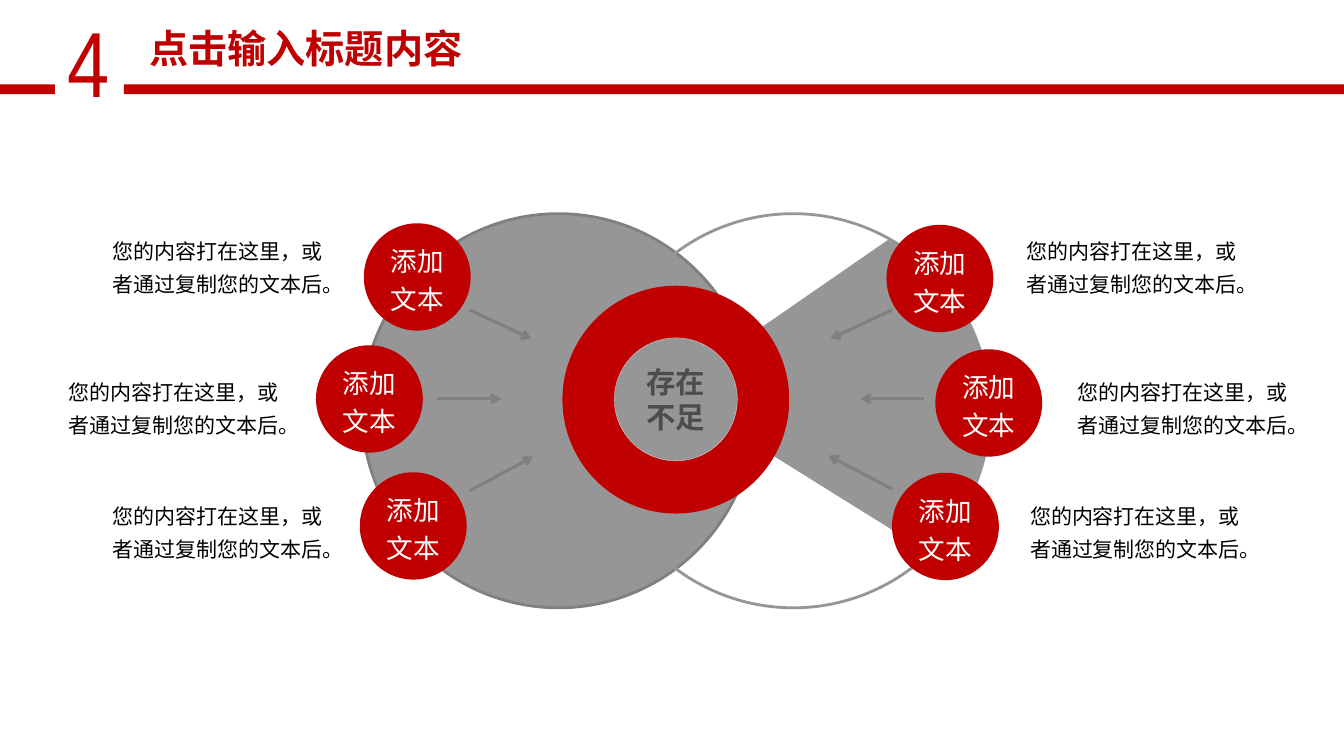
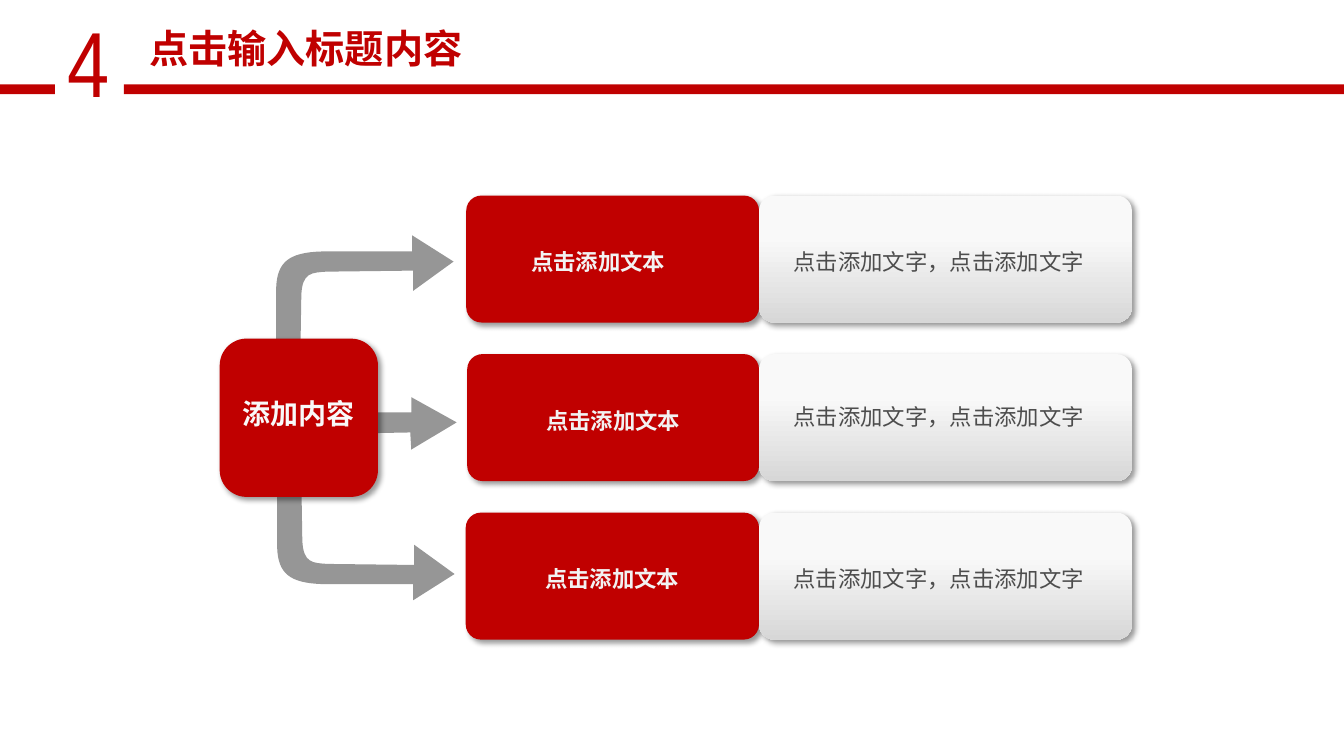
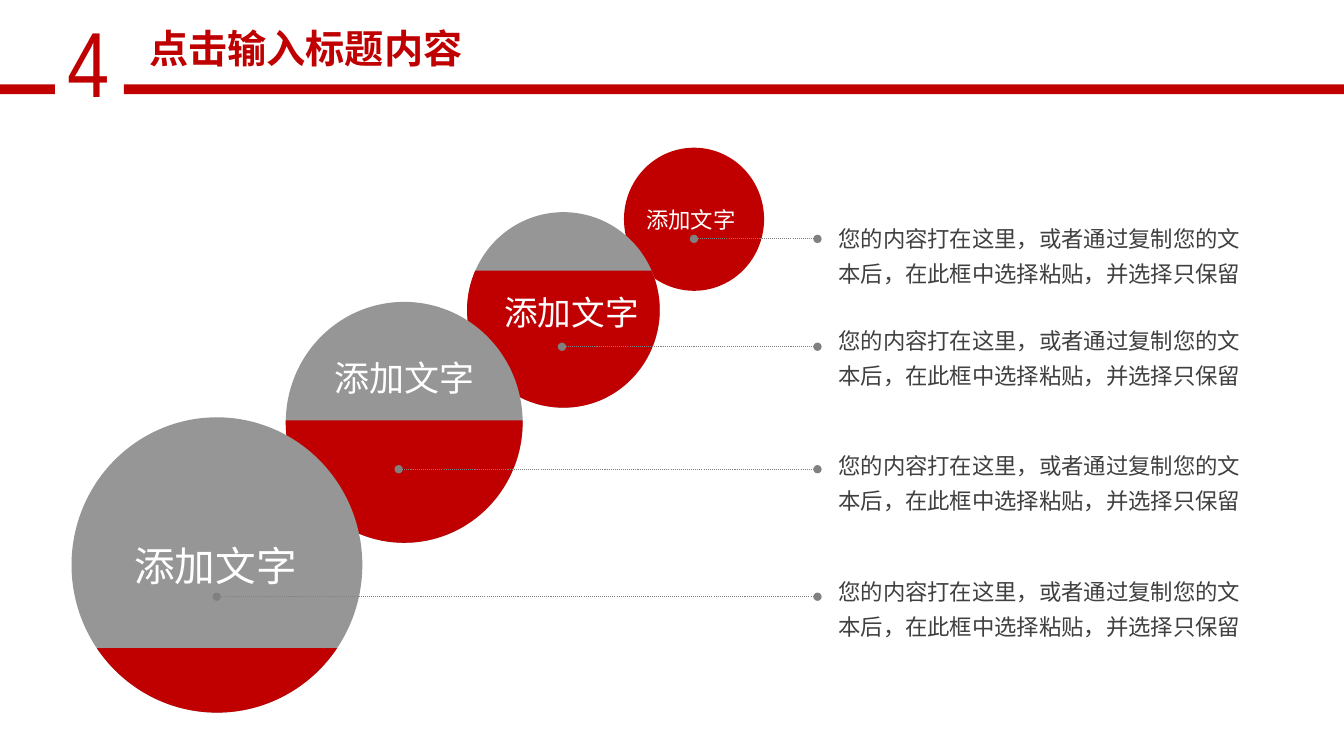
from dataclasses import dataclass
from math import asin, cos, pi, sin, tan

from lxml.etree import SubElement
from pptx import Presentation
from pptx.dml.color import RGBColor
from pptx.enum.dml import MSO_LINE
from pptx.enum.shapes import MSO_CONNECTOR, MSO_SHAPE
from pptx.enum.text import MSO_ANCHOR, MSO_AUTO_SIZE, PP_ALIGN
from pptx.oxml.ns import qn
from pptx.util import Inches, Pt


@dataclass(frozen=True)
class Theme:
    red: str = "C00000"
    gray: str = "969696"
    line: str = "808080"
    rim: str = "D7D7D7"
    pale: str = "F9F9F9"
    soft: str = "F2F2F2"
    dark: str = "4D4D4D"
    note: str = "404040"
    black: str = "000000"
    white: str = "FFFFFF"
    cjk: str = "Noto Sans CJK SC"
    latin: str = "Arial"
    narrow: str = "Arial Narrow"
    number: int = 66
    title: int = 28
    hub: int = 21
    root: int = 20
    disc: int = 19
    body: int = 16
    caption: int = 15


T = Theme()


@dataclass(frozen=True)
class Box:
    x: float
    y: float
    w: float
    h: float
    cols: float
    rows: float

    def pt(self, c, r):
        return (Inches(self.x + c * self.w / self.cols),
                Inches(self.y + r * self.h / self.rows))

    def at(self, c, r, w, h):
        return (*self.pt(c, r), Inches(w * self.w / self.cols),
                Inches(h * self.h / self.rows))


SLIDE = Box(0, 0, 40 / 3, 7.5, 400 / 3, 75)
CYCLE = Box(0.5, 2, 12.4, 4.2, 124, 42)
BRANCH = Box(2.18, 1.94, 9.05, 4.41, 90.5, 44.1)
STEPS = Box(0.7, 1.4, 12, 5.7, 120, 57)


def rgb(color):
    return RGBColor.from_string(color)


def paint(sp, fill=None, line=None, width=1):
    sp.shadow.inherit = False
    if fill:
        sp.fill.solid()
        sp.fill.fore_color.rgb = rgb(fill)
    else:
        sp.fill.background()
    if line:
        sp.line.color.rgb = rgb(line)
        sp.line.width = Pt(width)
    else:
        sp.line.fill.background()
    return sp


def shape(s, kind, place, fill=None, line=None, width=1):
    return paint(s.shapes.add_shape(kind, *place), fill, line, width)


def write(sp, text, size, color, font=T.cjk, bold=False, align=PP_ALIGN.LEFT,
          spacing=1.0, anchor=MSO_ANCHOR.MIDDLE, wrap=True,
          ins=(0.1, 0.05, 0.1, 0.05)):
    tf = sp.text_frame
    tf.auto_size = MSO_AUTO_SIZE.NONE
    tf.word_wrap = wrap
    tf.vertical_anchor = anchor
    tf.margin_left, tf.margin_top, tf.margin_right, tf.margin_bottom = map(Inches, ins)
    p = tf.paragraphs[0]
    p.alignment = align
    p.line_spacing = spacing
    r = p.add_run()
    r.text = text
    r.font.name = font
    r.font.size = Pt(size)
    r.font.bold = bold
    r.font.color.rgb = rgb(color)


def textbox(s, place, text, size, color, **style):
    write(s.shapes.add_textbox(*place), text, size, color, **style)


def bezier(a, b, c, d, n=24):
    for i in range(1, n + 1):
        t, u = i / n, 1 - i / n
        yield tuple(u ** 3 * a[k] + 3 * u * u * t * b[k] + 3 * u * t * t * c[k]
                    + t ** 3 * d[k] for k in (0, 1))


def outline(s, box, start, segments, fill):
    extent = [start]
    for seg in segments:
        extent += bezier(extent[-1], *seg) if len(seg) == 3 else seg
    extent = [box.pt(*p) for p in extent]
    fb = s.shapes.build_freeform(*extent[0], scale=1.0)
    fb.add_line_segments(extent[1:], close=True)
    sp = paint(fb.convert_to_shape(), fill)
    outline_el = sp._element.find(".//" + qn("a:path"))
    for el in list(outline_el):
        outline_el.remove(el)
    for tag, seg in [("a:moveTo", (start,))] + [
            ("a:cubicBezTo" if len(seg) == 3 else "a:lnTo", seg) for seg in segments]:
        step = SubElement(outline_el, qn(tag))
        for p in seg:
            x, y = box.pt(*p)
            SubElement(step, qn("a:pt"), x=str(x - sp.left), y=str(y - sp.top))
    SubElement(outline_el, qn("a:close"))
    return sp


def lines(*points):
    return [(p,) for p in points]


def connect(s, box, start, end, width, ends, dash=None):
    c = s.shapes.add_connector(MSO_CONNECTOR.STRAIGHT, *box.pt(*start), *box.pt(*end))
    c.line.color.rgb = rgb(T.line)
    c.line.width = Pt(width)
    if dash:
        c.line.dash_style = dash
    spPr = c._element.spPr
    for tag, kind in ends:
        SubElement(spPr.find(qn("a:ln")), qn(tag), type=kind)
    SubElement(spPr, qn("a:effectLst"))


def drop_shadow(sp):
    effects = sp._element.spPr.find(qn("a:effectLst"))
    shadow = SubElement(effects, qn("a:outerShdw"), blurRad=str(Pt(4)),
                        dist=str(Pt(3)), dir="2700000", algn="tl", rotWithShape="0")
    color = SubElement(shadow, qn("a:srgbClr"), val=T.black)
    SubElement(color, qn("a:alpha"), val="40000")


def card(s, place, fill, adj):
    sp = shape(s, MSO_SHAPE.ROUNDED_RECTANGLE, place, fill)
    sp.adjustments[0] = adj
    drop_shadow(sp)
    return sp


def shared_band(s, box):
    textbox(s, box.at(5.7, 0, 3.4, 12.1), "4", T.number, T.red,
            font=T.narrow, anchor=MSO_ANCHOR.TOP)
    for c, w in ((12.3, 121.1), (-0.3, 5.75)):
        shape(s, MSO_SHAPE.RECTANGLE, box.at(c, 8.37, w, 0.98), T.red)
    tree = s.slide_layout.shapes._spTree
    for sp in list(s.shapes):
        if not sp.is_placeholder:
            tree.append(sp._element)


def title(s, box, text):
    sp = s.shapes.title
    sp.left, sp.top, sp.width, sp.height = box.at(12.38, 1.85, 35.9, 5.7)
    write(sp, text, T.title, T.red, bold=True, align=PP_ALIGN.CENTER)


def cycle(s, box):
    wedge = [
        [(87.3, 6.7), (88, 7), (83.2, 3.8)], *lines((61.5, 18.8), (87.2, 34.8)),
        [(93.5, 27.2), (92.8, 24.5), (93.1, 20.5)],
        [(92.9, 17.2), (92.2, 13.8), (90.4, 10.9)]]
    sp = outline(s, box, (90.4, 10.9), wedge, T.gray)
    paint(sp, T.gray, T.gray, 0.75)
    for c, fill, line in ((30.9, T.gray, T.line), (54.2, None, T.gray)):
        shape(s, MSO_SHAPE.OVAL, box.at(c, 1.2, 39, 39.1), fill, line, 2)
    spokes = [
        ((31.1, 2.15), (41.6, 10.75), (47.7, 13.6), (5.15, 2.4)),
        ((26.35, 14.25), (38.35, 19.57), (44.7, 19.57), (0.8, 16.45)),
        ((30.7, 26.85), (41.6, 28.7), (47.9, 25.3), (5.15, 28.7)),
        ((82.95, 2.3), (83.5, 10.75), (77.4, 13.6), (95.9, 2.4)),
        ((87.8, 14.65), (86.65, 19.55), (80.4, 19.55), (100.9, 16.45)),
        ((83.5, 26.9), (83.5, 28.5), (77.2, 25.2), (96.2, 28.7)),
    ]
    for disc, start, end, caption in spokes:
        connect(s, box, start, end, 2.25, [("a:tailEnd", "arrow")])
        sp = shape(s, MSO_SHAPE.OVAL, box.at(*disc, 10.6, 10.65), T.red)
        write(sp, "添加文本", T.disc, T.white, font=T.latin,
              align=PP_ALIGN.CENTER, spacing=1.2)
        textbox(s, box.at(*caption, 22.9, 7.6),
                "您的内容打在这里，或者通过复制您的文本后。", T.caption, T.black,
                spacing=1.3, anchor=MSO_ANCHOR.TOP)
    shape(s, MSO_SHAPE.OVAL, box.at(50.8, 8.35, 22.5, 22.6), T.red)
    hub = shape(s, MSO_SHAPE.OVAL, box.at(55.95, 13.52, 12.2, 12.2), T.gray, T.rim, 0.25)
    write(hub, "存在不足", T.hub, T.dark, font=T.narrow, bold=True,
          align=PP_ALIGN.CENTER)


def branch(s, box):
    elbow = [
        *lines((8.1, 12.2)), [(8.2, 14.4), (9.1, 14.4), (10.6, 14.5)],
        *lines((19.2, 14.6), (19.2, 12.6), (23.2, 15.5), (19.1, 18.1), (19.1, 16.5)),
        [(19.1, 16.5), (13.3, 16.5), (10.1, 16.5)],
        [(6.8, 16.4), (5.7, 15.4), (5.6, 12.9)], *lines((5.6, 0))]
    for side, shift in ((1, 0.1), (-1, 0)):
        def flip(p):
            return p[0] + shift, box.rows / 2 + side * p[1]
        outline(s, box, flip((7.9, 0)),
                [[flip(p) for p in seg] for seg in elbow], T.gray)
    outline(s, box, (2.6, 23.8), lines(
        (18.9, 23.5), (19, 25.2), (23.5, 22.5), (19, 20), (19, 21.5), (2.6, 21.6)), T.gray)
    root = card(s, box.at(0, 14.2, 15.7, 15.7), T.red, 0.17)
    write(root, "添加内容", T.root, T.pale, bold=True, align=PP_ALIGN.CENTER,
          spacing=1.2, ins=(0.14, 0.05, 0.14, 0.2))
    rows = ((PP_ALIGN.LEFT, 0.6, 24.45, 0.05), (PP_ALIGN.CENTER, 0.1, 24.55, 0.12),
            (PP_ALIGN.CENTER, 0.1, 24.4, 0.05))
    for i, (align, indent, left, lift) in enumerate(rows):
        row = i * 15.73
        head = card(s, box.at(left, row, 53.5 - left, 12.6), T.red, 0.12)
        write(head, "点击添加文本", T.body, T.soft, bold=True, align=align,
              spacing=1.2, ins=(indent, 0.05, 0.1, 0.05))
        detail = card(s, box.at(53.5, row, 37, 12.6), T.pale, 0.12)
        detail.fill.gradient()
        detail.fill.gradient_angle = 270
        for stop, pos, color in zip(detail.fill.gradient_stops, (0.33, 1), (T.pale, T.rim)):
            stop.position = pos
            stop.color.rgb = rgb(color)
        write(detail, "点击添加文字，点击添加文字", T.body, T.dark,
              spacing=1.2, ins=(0.3, 0.05, 0.1, lift))


def lower_part(s, box, place, cut):
    c, r, w, h = place
    first = asin((cut - r - h / 2) / (h / 2))
    turn = (pi - 2 * first) / 2
    k = 4 / 3 * tan(turn / 4)

    def on(t, pull=0):
        return (c + w / 2 * (1 + cos(t) - pull * sin(t)),
                r + h / 2 * (1 + sin(t) + pull * cos(t)))

    arcs = [[on(t, k), on(t + turn, -k), on(t + turn)] for t in (first, first + turn)]
    outline(s, box, on(pi - first), lines(on(first)) + arcs, T.red)


def steps(s, box):
    balls = [
        ((54.9, 0.65, 13.9, 14.2), None, (61.55, 7.8), 16, (61.85, 9.7), 7.02),
        ((39.35, 7.05, 19.1, 19.4), 12.85, (49.7, 16.95), 24, (48.75, 20.4), 17.15),
        ((21.35, 15.95, 23.5, 23.9), 27.7, (33.15, 23.45), 25, (32.55, 32.55), 29.6),
        ((0.1, 27.4, 28.85, 29.3), 50.3, (14.4, 42.05), 29, (14.5, 45.2), 42.1),
    ]
    for place, cut, (c, r), size, start, note in balls:
        shape(s, MSO_SHAPE.OVAL, box.at(*place), T.gray if cut else T.red)
        if cut:
            lower_part(s, box, place, cut)
        w, h = size * 0.56 + 2.2, size * 0.17 + 1
        textbox(s, box.at(c - w / 2, r - h / 2, w, h), "添加文字", size, T.white,
                align=PP_ALIGN.CENTER, wrap=False)
        connect(s, box, start, (74.1, start[1]), 0.75,
                [("a:headEnd", "oval"), ("a:tailEnd", "oval")], MSO_LINE.ROUND_DOT)
        textbox(s, box.at(75.08, note, 44.2, 8.4),
                "您的内容打在这里，或者通过复制您的文本后，在此框中选择粘贴，并选择只保留",
                T.body, T.note, spacing=1.3, anchor=MSO_ANCHOR.TOP,
                ins=(0.11, 0.05, 0.11, 0.05))


def main():
    prs = Presentation()
    prs.slide_width, prs.slide_height = Inches(SLIDE.w), Inches(SLIDE.h)
    layout = prs.slide_layouts[5]
    for i, (draw, box) in enumerate(((cycle, CYCLE), (branch, BRANCH), (steps, STEPS))):
        s = prs.slides.add_slide(layout)
        if i == 0:
            shared_band(s, SLIDE)
        title(s, SLIDE, "点击输入标题内容")
        draw(s, box)
    prs.save("out.pptx")


if __name__ == "__main__":
    main()
